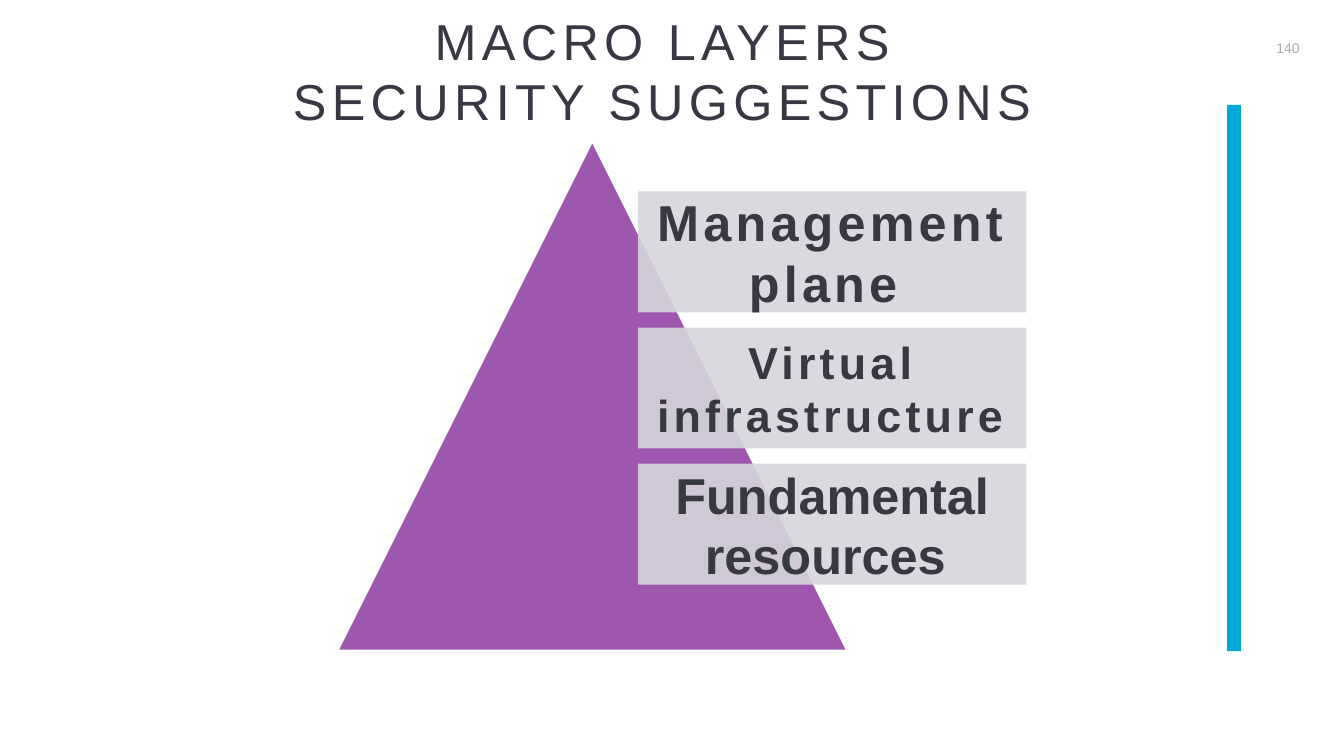
from dataclasses import dataclass

from lxml import etree
from pptx import Presentation
from pptx import util as u
from pptx.dml.color import RGBColor
from pptx.enum import shapes, text
from pptx.oxml import ns


@dataclass(frozen=True)
class Theme:
    font: str = "Arial"
    ink: str = "373842"
    muted: str = "A6AAA9"
    accent: str = "00AAD7"
    pyramid: str = "9F57AD"
    edge: str = "FFFFFF"
    panel: str = "D5D5DC"
    panel_alpha: int = 90
    large: int = 36
    medium: int = 32
    small: int = 10


THEME = Theme()
# label, type size, letter spacing in points, inset in inches
LAYERS = [
    ("Management plane ", THEME.large, 3, 0.15),
    ("Virtual infrastructure ", THEME.medium, 3, 0.13),
    ("Fundamental resources ", THEME.large, 0, 0.15),
]


def inches(*lengths):
    return [u.Inches(n) for n in lengths]


def add_shape(slide, kind, box, fill):
    sp = slide.shapes.add_shape(kind, *inches(*box))
    sp.shadow.inherit = False
    sp.fill.solid()
    sp.fill.fore_color.rgb = RGBColor.from_string(fill)
    sp.line.fill.background()
    return sp


def write(sp, words, size, color, inset=0.03, anchor=text.MSO_ANCHOR.TOP,
          bold=False, spacing=0):
    """Fill a shape with centred text; spacing is between letters, in points."""
    tf = sp.text_frame
    tf.word_wrap = True
    tf.vertical_anchor = anchor
    tf.margin_left = tf.margin_right = u.Inches(inset)
    tf.margin_top = tf.margin_bottom = u.Inches(inset)
    tf.text = words
    for p in tf.paragraphs:
        p.alignment = text.PP_ALIGN.CENTER
        for r in p.runs:
            r.font.name = THEME.font
            r.font.size = u.Pt(size)
            r.font.bold = bold
            r.font.color.rgb = RGBColor.from_string(color)
            if spacing:
                r.font._element.set("spc", str(round(spacing * 100)))


def add_page_number(slide, box):
    sp = slide.shapes.add_textbox(*inches(*box))
    write(sp, "140", THEME.small, THEME.muted)


def add_title(slide, box):
    sp = slide.shapes.add_textbox(*inches(*box))
    write(sp, "MACRO LAYERS \nSECURITY SUGGESTIONS ", THEME.large, THEME.ink,
          anchor=text.MSO_ANCHOR.BOTTOM, spacing=3.8)


def add_layer(slide, box, label, size, spacing, inset):
    sp = add_shape(slide, shapes.MSO_SHAPE.RECTANGLE, box, THEME.panel)
    color = sp.fill._xPr.find(".//" + ns.qn("a:srgbClr"))
    alpha = etree.SubElement(color, ns.qn("a:alpha"))
    alpha.set("val", str(THEME.panel_alpha * 1000))
    write(sp, label, size, THEME.ink, inset, text.MSO_ANCHOR.MIDDLE,
          bold=True, spacing=spacing)


def add_pyramid(slide, box):
    """Draw the triangle with its layer panels stacked over the right half."""
    left, top, width, height = box
    sp = add_shape(slide, shapes.MSO_SHAPE.ISOSCELES_TRIANGLE, box, THEME.pyramid)
    sp.line.color.rgb = RGBColor.from_string(THEME.edge)
    sp.line.width = u.Pt(2)
    panel_width, panel_height, gap = 3.85, 1.2, 0.15
    for i, layer in enumerate(LAYERS):
        y = top + 0.51 + i * (panel_height + gap)
        add_layer(slide, (left + 2.99, y, panel_width, panel_height), *layer)


def main():
    prs = Presentation()
    prs.slide_width, prs.slide_height = inches(13.33, 7.5)
    slide = prs.slides.add_slide(prs.slide_layouts[6])
    add_page_number(slide, (12.58, 0.36, 0.39, 0.22))
    add_title(slide, (0.74, 0.06, 11.85, 1.27))
    add_shape(slide, shapes.MSO_SHAPE.RECTANGLE, (12.17, 1.04, 0.14, 5.42), THEME.accent)
    add_pyramid(slide, (3.34, 1.39, 5.07, 5.07))
    prs.save("out.pptx")


if __name__ == "__main__":
    main()
